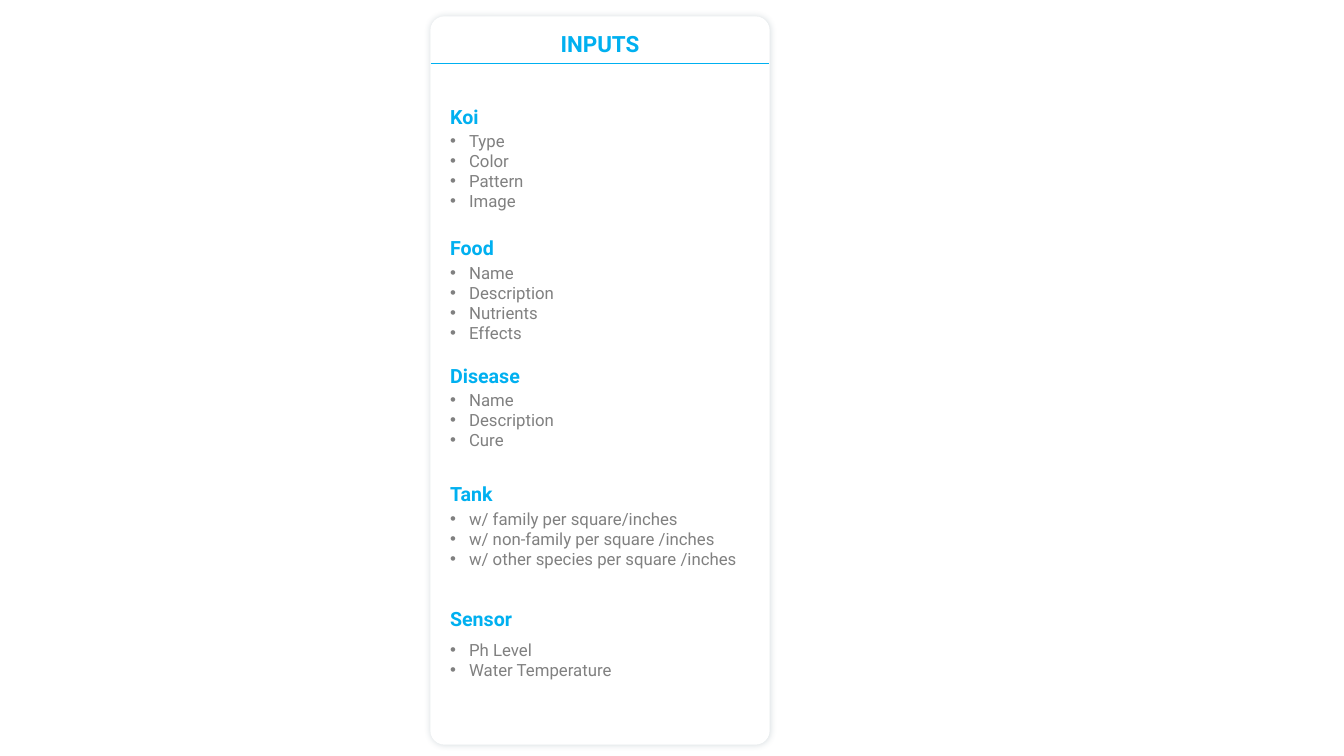
from lxml import etree
from pptx import Presentation
from pptx.dml.color import RGBColor
from pptx.enum.shapes import MSO_CONNECTOR, MSO_SHAPE
from pptx.enum.text import MSO_ANCHOR, MSO_AUTO_SIZE, PP_ALIGN
from pptx.oxml.ns import qn
from pptx.util import Emu, Inches, Pt

PX = Inches(1) / 100.8
FONT = "Roboto"
COLORS = {"accent": "00B0F0", "text": "808080", "card": "FFFFFF", "shadow": "94A5AE"}
HEADING_LINE, ITEM_LINE, INDENT = 23, 20, 19

# Heading, its top, top of its list (both from the card's top), items
SECTIONS = [
    ("Koi", 83, 109, ["Type", "Color", "Pattern", "Image"]),
    ("Food", 214, 241, ["Name", "Description", "Nutrients", "Effects"]),
    ("Disease", 342, 368, ["Name", "Description", "Cure"]),
    ("Tank", 461, 487, ["w/ family per square/inches",
                        "w/ non-family per square /inches",
                        "w/ other species per square /inches"]),
    ("Sensor", 586, 618, ["Ph Level", "Water Temperature"]),
]


def px(n):
    return Emu(round(n * PX))


def rgb(name):
    return RGBColor.from_string(COLORS[name])


def place(sp, x, y, w, h):
    sp.left, sp.top, sp.width, sp.height = px(x), px(y), px(w), px(h)


def add_run(p, text, size, color, bold=False):
    r = p.add_run()
    r.text = text
    r.font.name, r.font.size, r.font.bold = FONT, Pt(size), bold
    r.font.color.rgb = rgb(color)


def set_bullet(p, char=None):
    pPr = p._p.get_or_add_pPr()
    indent = px(INDENT) if char else 0
    pPr.set("marL", str(indent))
    pPr.set("indent", str(-indent))
    if char:
        etree.SubElement(pPr, qn("a:buFont"), typeface="Arial")
        etree.SubElement(pPr, qn("a:buChar"), char=char)
    else:
        etree.SubElement(pPr, qn("a:buNone"))


def add_card(s, x, y, w, h):
    # Rounded panel with a soft glow-like shadow, behind the text
    sp = s.shapes.add_shape(MSO_SHAPE.ROUNDED_RECTANGLE, px(x), px(y), px(w), px(h))
    sp.adjustments[0] = 0.04
    sp.fill.solid()
    sp.fill.fore_color.rgb = rgb("card")
    sp.line.color.rgb = rgb("card")
    sp.line.width = Pt(1)
    sp.shadow.inherit = False
    effects = sp._element.spPr.find(qn("a:effectLst"))
    shadow = etree.SubElement(effects, qn("a:outerShdw"), blurRad=str(Pt(5)),
                              dist="0", dir="0", algn="ctr", rotWithShape="0")
    color = etree.SubElement(shadow, qn("a:srgbClr"), val=COLORS["shadow"])
    etree.SubElement(color, qn("a:alpha"), val="40000")
    s.shapes._spTree.insert(2, sp._element)


def add_header(s, x, y, w, h):
    # Title and the rule under it
    title = s.shapes.title
    place(title, x, y, w, h)
    tf = title.text_frame
    tf.auto_size, tf.vertical_anchor = MSO_AUTO_SIZE.NONE, MSO_ANCHOR.MIDDLE
    p = tf.paragraphs[0]
    p.alignment = PP_ALIGN.CENTER
    add_run(p, "INPUTS", 16, "accent", True)

    rule = s.shapes.add_connector(MSO_CONNECTOR.STRAIGHT, px(x), px(y + h), px(x + w), px(y + h))
    rule.line.color.rgb = rgb("accent")
    rule.line.width = Pt(0.5)
    etree.SubElement(rule._element.spPr, qn("a:effectLst"))


def add_sections(s, x, y, w, h):
    # One list: spacing brings each heading and list to its top
    start = SECTIONS[0][1]
    body = s.placeholders[1]
    place(body, x, y + start, w, h - start)
    tf = body.text_frame
    tf.word_wrap, tf.auto_size = True, MSO_AUTO_SIZE.NONE
    tf.vertical_anchor = MSO_ANCHOR.TOP
    bottom = start

    def add_line(text, top, height, size, color, bold=False, bullet=None):
        nonlocal bottom
        p = tf.paragraphs[0] if not tf.paragraphs[0].runs else tf.add_paragraph()
        p.line_spacing = px(height)
        p.space_before, p.space_after = px(top - bottom), Pt(0)
        set_bullet(p, bullet)
        add_run(p, text, size, color, bold)
        bottom = top + height

    for heading, heading_top, list_top, items in SECTIONS:
        add_line(heading, heading_top, HEADING_LINE, 14, "accent", bold=True)
        for i, item in enumerate(items):
            add_line(item, list_top + i * ITEM_LINE, ITEM_LINE, 12, "text", bullet="•")


def inputs_slide(prs, x, y, w, h):
    s = prs.slides.add_slide(prs.slide_layouts[1])
    add_card(s, x, y, w, h)
    add_header(s, x, y + 8, w, 38)
    add_sections(s, x + 9, y, w - 10, h)


def main():
    prs = Presentation()
    prs.slide_width, prs.slide_height = px(1344), px(756)
    inputs_slide(prs, 431, 17, 338, 727)
    prs.save("out.pptx")


if __name__ == "__main__":
    main()
